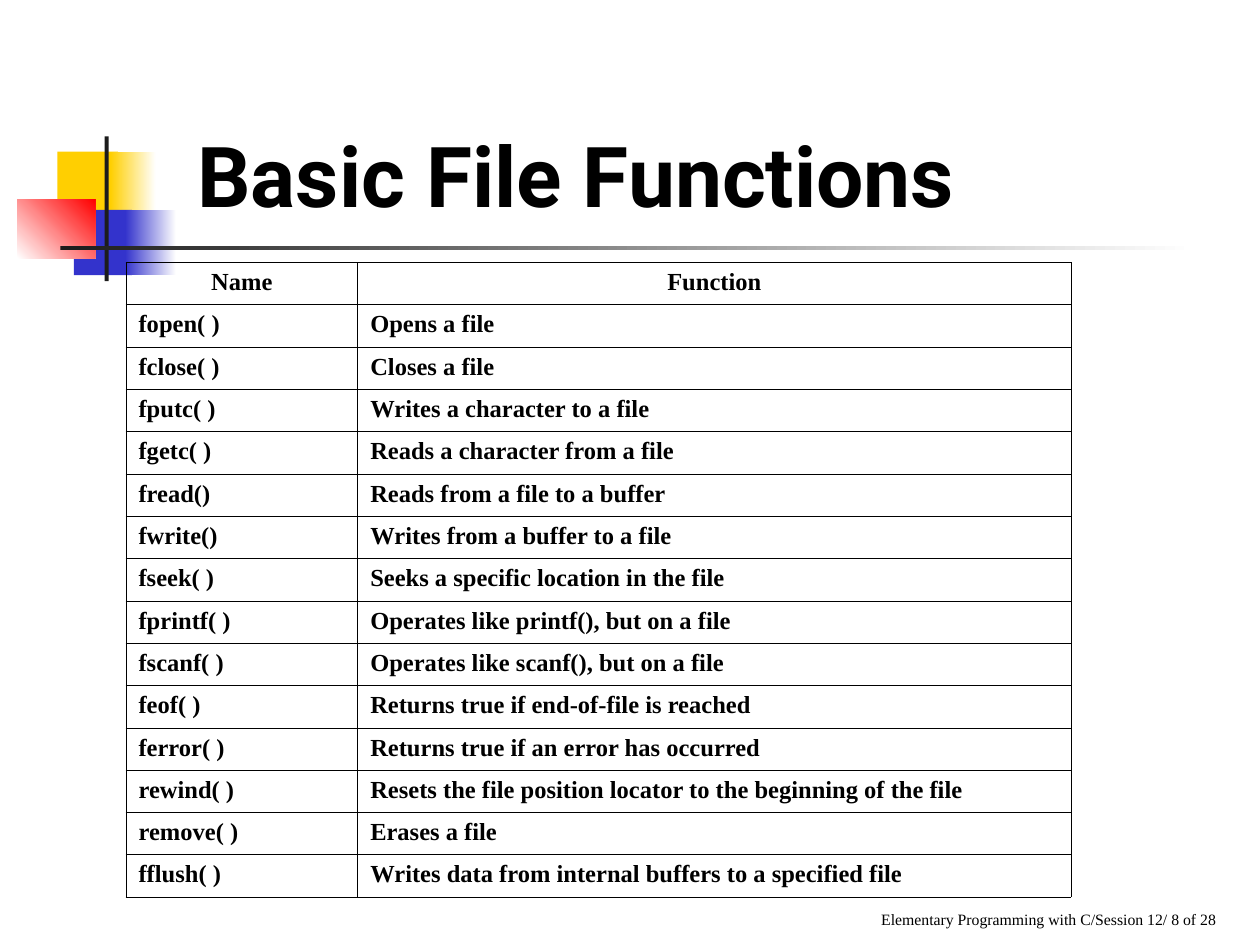
import pptx
import pptx.util
import pptx.dml.color
import pptx.enum.shapes
import pptx.enum.text
import pptx.oxml.ns
from lxml import etree
from pptx.util import Cm

COLORS = {
    "text": "000000",
    "white": "FFFFFF",
    "yellow": "FFCF01",
    "blue": "3333CC",
    "red": "FF0000",
    "bar": "1C1C1C",
}
SERIF = "Times New Roman"
ALIGN = pptx.enum.text.PP_ALIGN

FILE_FUNCTIONS = [
    ("Name", "Function"),
    ("fopen( )", "Opens a file"),
    ("fclose( )", "Closes a file"),
    ("fputc( )", "Writes a character to a file"),
    ("fgetc( )", "Reads a character from a file"),
    ("fread()", "Reads from a file to a buffer"),
    ("fwrite()", "Writes from a buffer to a file"),
    ("fseek( )", "Seeks a specific location in the file"),
    ("fprintf( )", "Operates like printf(), but on a file"),
    ("fscanf( )", "Operates like scanf(), but on a file"),
    ("feof( )", "Returns true if end-of-file is reached"),
    ("ferror( )", "Returns true if an error has occurred"),
    ("rewind( )", "Resets the file position locator to the beginning of the file"),
    ("remove( )", "Erases a file"),
    ("fflush( )", "Writes data from internal buffers to a specified file"),
]


def rgb(name):
    return pptx.dml.color.RGBColor.from_string(COLORS[name])


def style_paragraph(paragraph, font_name, size, bold, align):
    paragraph.alignment = align
    paragraph.font.name = font_name
    paragraph.font.size = pptx.util.Pt(size)
    paragraph.font.bold = bold
    paragraph.font.color.rgb = rgb("text")


def add_block(slide, left, top, width, height, start, end=None, angle=0):
    block = slide.shapes.add_shape(
        pptx.enum.shapes.MSO_SHAPE.RECTANGLE,
        Cm(left), Cm(top), Cm(width), Cm(height))
    block.shadow.inherit = False
    block.line.fill.background()
    if end is None:
        block.fill.solid()
        block.fill.fore_color.rgb = rgb(start)
    else:
        block.fill.gradient()
        block.fill.gradient_angle = angle
        for stop, name, position in zip(block.fill.gradient_stops, (start, end), (0, 1)):
            stop.color.rgb = rgb(name)
            stop.position = position


def add_ornament(slide, left, top):
    blocks = [
        (0.81, 0.31, 1.22, 1.32, "yellow"),
        (1.88, 0.31, 0.91, 1.32, "yellow", "white"),
        (1.14, 1.48, 1.17, 1.32, "blue"),
        (2.18, 1.48, 1.02, 1.32, "blue", "white"),
        (0, 1.27, 1.57, 1.19, "white", "red", 45),
        (1.76, 0, 0.08, 2.92, "bar"),
        (0.87, 2.2, 22.86, 0.09, "bar", "white"),
    ]
    for dx, dy, *rest in blocks:
        add_block(slide, left + dx, top + dy, *rest)


def add_title(slide, left, top, width, height):
    title = slide.shapes.add_textbox(Cm(left), Cm(top), Cm(width), Cm(height))
    frame = title.text_frame
    frame.word_wrap = False
    frame.auto_size = pptx.enum.text.MSO_AUTO_SIZE.SHAPE_TO_FIT_TEXT
    frame.text = "Basic File Functions"
    style_paragraph(frame.paragraphs[0], "Roboto", 48, True, ALIGN.LEFT)


def add_footer(slide, left, top, width, height):
    footer = slide.shapes.add_textbox(Cm(left), Cm(top), Cm(width), Cm(height))
    frame = footer.text_frame
    frame.word_wrap = True
    frame.vertical_anchor = pptx.enum.text.MSO_ANCHOR.BOTTOM
    frame.text = "Elementary Programming with C/Session 12/ 8 of 28"
    style_paragraph(frame.paragraphs[0], SERIF, 9, False, ALIGN.RIGHT)


def add_borders(cell):
    qn = pptx.oxml.ns.qn
    properties = cell._tc.get_or_add_tcPr()
    for side in ("a:lnL", "a:lnR", "a:lnT", "a:lnB"):
        border = etree.SubElement(properties, qn(side), w=str(pptx.util.Pt(0.45)))
        fill = etree.SubElement(border, qn("a:solidFill"))
        etree.SubElement(fill, qn("a:srgbClr"), val=COLORS["text"])


def add_function_table(slide, left, top, width, height, name_width):
    table = slide.shapes.add_table(
        len(FILE_FUNCTIONS), 2, Cm(left), Cm(top), Cm(width), Cm(height)).table
    table.first_row = False
    table.horz_banding = False
    table.columns[0].width = Cm(name_width)
    table.columns[1].width = Cm(width - name_width)
    for row_index, entry in enumerate(FILE_FUNCTIONS):
        table.rows[row_index].height = Cm(height / len(FILE_FUNCTIONS))
        align = ALIGN.CENTER if row_index == 0 else ALIGN.JUSTIFY
        for column_index, text in enumerate(entry):
            cell = table.cell(row_index, column_index)
            add_borders(cell)
            cell.fill.background()
            cell.text = text
            style_paragraph(cell.text_frame.paragraphs[0], SERIF, 14, True, align)


def main():
    presentation = pptx.Presentation()
    presentation.slide_width = Cm(25.4)
    presentation.slide_height = Cm(19.05)
    slide = presentation.slides.add_slide(presentation.slide_layouts[6])
    slide.background.fill.solid()
    slide.background.fill.fore_color.rgb = rgb("white")
    add_ornament(slide, 0.35, 2.75)
    add_footer(slide, 9.32, 17.58, 15.44, 1.27)
    add_title(slide, 3.73, 2.36, 17.45, 2.29)
    add_function_table(slide, 2.54, 5.29, 19.05, 12.8, 4.67)
    presentation.save("out.pptx")


if __name__ == "__main__":
    main()
